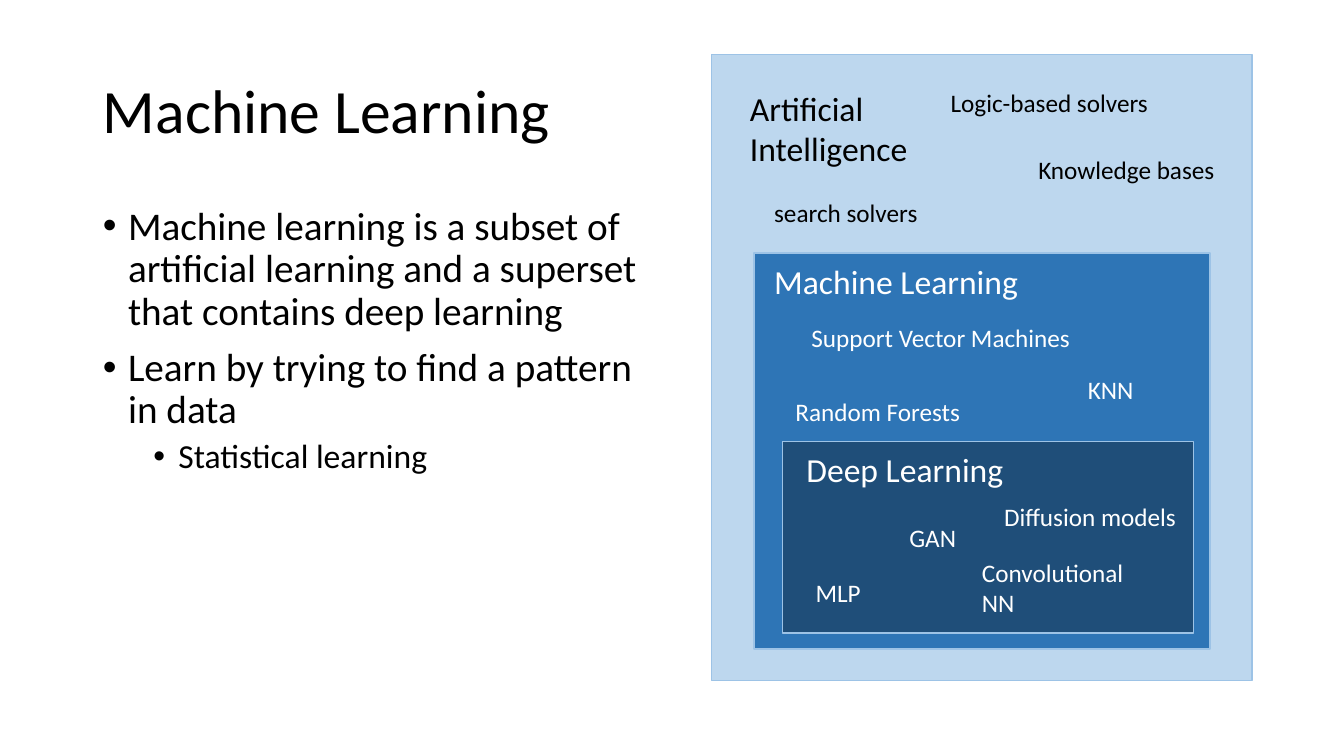
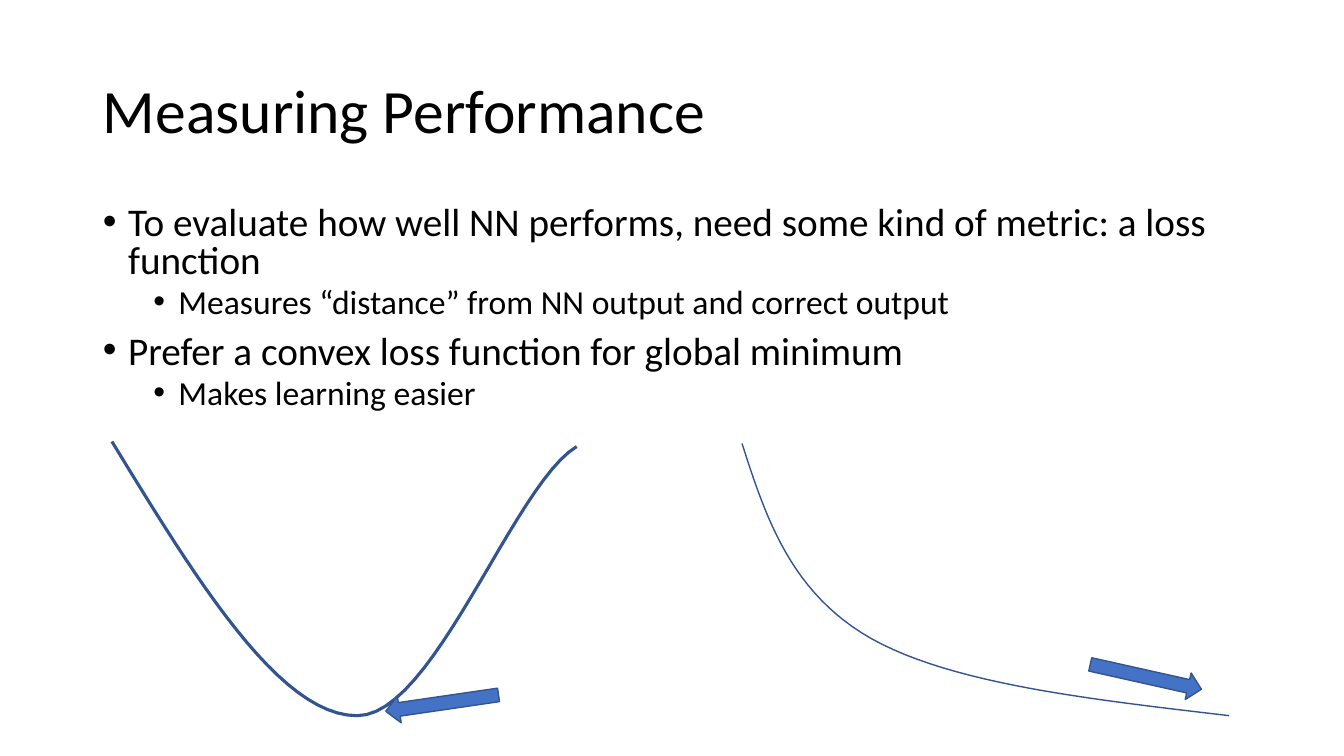
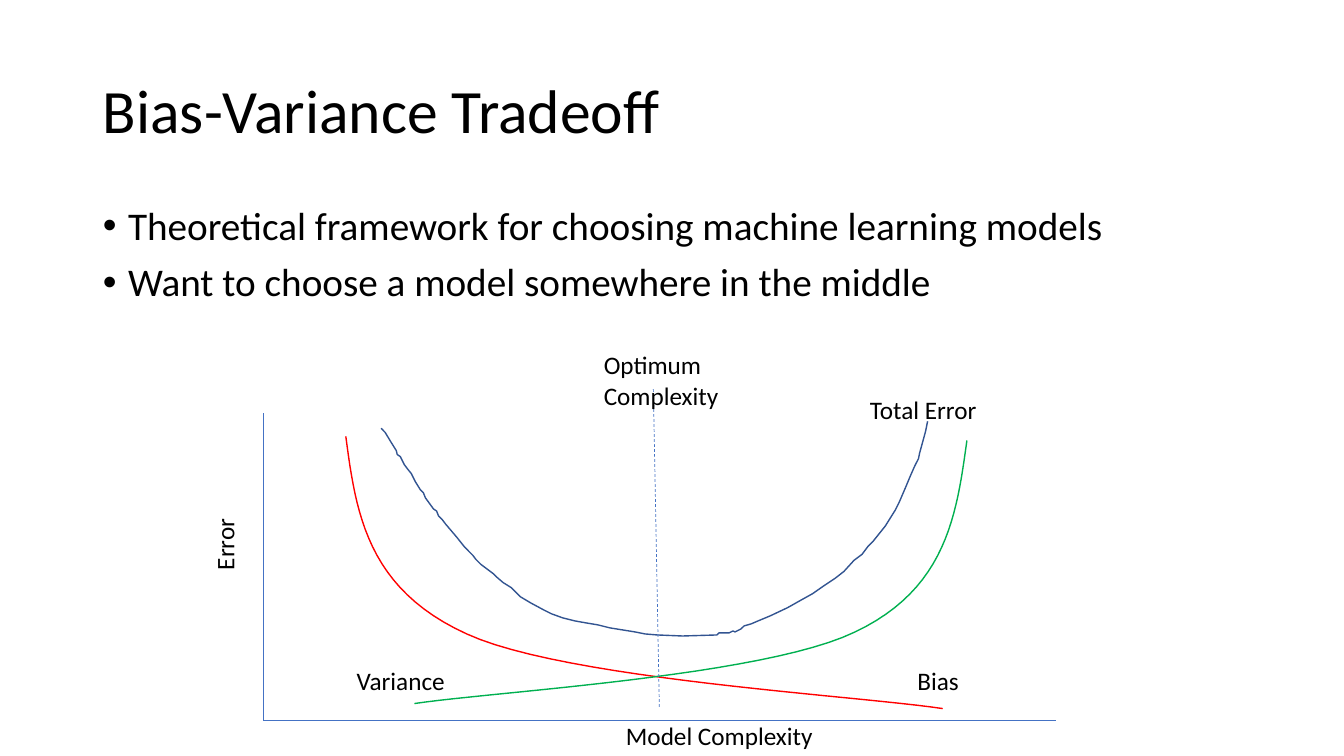
from dataclasses import dataclass

from lxml.etree import SubElement
from pptx import Presentation
from pptx.dml.color import RGBColor
from pptx.enum.dml import MSO_LINE
from pptx.enum.shapes import MSO_CONNECTOR, MSO_SHAPE
from pptx.enum.text import MSO_ANCHOR, MSO_AUTO_SIZE, PP_ALIGN
from pptx.oxml.ns import qn
from pptx.presentation import Presentation as Deck
from pptx.slide import Slide
from pptx.util import Inches, Pt

FONT = "Calibri"
COLORS = {
    "black": "000000",
    "white": "FFFFFF",
    "pale": "BDD7EE",
    "edge": "9DC3E6",
    "mid": "2E75B6",
    "deep": "1F4E79",
    "accent": "4472C4",
    "outline": "325491",
    "red": "FF0000",
    "green": "00B050",
}
MARGIN = 0.92
CONTENT_WIDTH = 11.5
BULLET_SIZES = (28, 24)
BULLET_INDENTS = (0.25, 0.75)
BULLET_GAPS = (10, 5)
CURVE_STEPS = 24

Point = tuple[float, float]


@dataclass(frozen=True)
class Bullet:
    text: str
    level: int = 0


@dataclass(frozen=True)
class Label:
    text: str
    left: float
    top: float
    width: float
    height: float = 0.4
    color: str = "black"
    size: int = 18
    rotation: float = 0


@dataclass(frozen=True)
class Block:
    left: float
    top: float
    width: float
    height: float
    fill: str
    line: str
    kind: MSO_SHAPE = MSO_SHAPE.RECTANGLE
    rotation: float = 0


@dataclass(frozen=True)
class Curve:
    start: Point
    bends: tuple[tuple[Point, Point, Point], ...]
    color: str = "outline"
    weight: float = 1


@dataclass(frozen=True)
class Rule:
    start: Point
    end: Point
    dashed: bool = False


NESTED_FIELDS = (
    Block(7.06, 0.54, 5.36, 6.21, "pale", "edge"),
    Block(7.48, 2.51, 4.52, 3.93, "mid", "edge"),
    Block(7.76, 4.38, 4.08, 1.9, "deep", "edge"),
)
FIELD_LABELS = (
    Label("Deep Learning", 7.9, 4.4, 2.87, 0.5, "white", 24),
    Label("Artificial Intelligence", 7.34, 0.82, 2.87, 0.91, "black", 24),
    Label("Machine Learning", 7.58, 2.54, 2.87, 0.5, "white", 24),
    Label("Logic-based solvers", 9.33, 0.82, 2.5),
    Label("search solvers", 7.58, 1.91, 2.5),
    Label("Knowledge bases", 10.2, 1.48, 2.5),
    Label("Support Vector Machines", 7.95, 3.15, 3.17, color="white"),
    Label("Random Forests", 7.79, 3.88, 1.95, color="white"),
    Label("KNN", 10.69, 3.66, 1.11, color="white"),
    Label("MLP", 7.99, 5.68, 1.95, color="white"),
    Label("Convolutional NN", 9.64, 5.48, 1.95, 0.71, "white"),
    Label("Diffusion models", 9.86, 4.92, 1.95, color="white"),
    Label("GAN", 8.92, 5.13, 1.95, color="white"),
)
LOSS_CURVES = (
    Curve(
        (1.11, 4.38),
        (
            ((1.94, 5.74), (2.77, 7.1), (3.54, 7.1)),
            ((4.3, 7.11), (5.09, 4.81), (5.72, 4.43)),
        ),
        weight=2.25,
    ),
    Curve(
        (7.36, 4.4),
        (
            ((7.6, 5.15), (7.85, 5.89), (8.65, 6.34)),
            ((9.46, 6.79), (10.83, 6.94), (12.19, 7.1)),
        ),
    ),
)
DESCENT_ARROWS = tuple(
    Block(left, top, 1.13, 0.27, "accent", "outline", MSO_SHAPE.RIGHT_ARROW, angle)
    for left, top, angle in ((3.82, 6.84, 171.7), (10.8, 6.58, 12.6))
)
ERROR_CURVES = (
    Curve(
        (3.43, 4.33),
        (
            ((3.53, 5.09), (3.64, 5.84), (4.63, 6.29)),
            ((5.61, 6.74), (8.48, 6.9), (9.35, 7.03)),
        ),
        "red",
    ),
    Curve(
        (9.59, 4.37),
        (
            ((9.49, 5.1), (9.39, 5.84), (8.48, 6.27)),
            ((7.57, 6.71), (4.91, 6.86), (4.11, 6.98)),
        ),
        "green",
    ),
)
TOTAL_ERROR = (
    (3.78, 4.25), (3.82, 4.29), (3.88, 4.39), (3.93, 4.47), (3.94, 4.51),
    (3.97, 4.53), (4.01, 4.61), (4.04, 4.65), (4.08, 4.7), (4.12, 4.78),
    (4.17, 4.86), (4.2, 4.89), (4.22, 4.94), (4.3, 5.05), (4.33, 5.07),
    (4.35, 5.12), (4.39, 5.16), (4.42, 5.2), (4.53, 5.33), (4.61, 5.43),
    (4.69, 5.51), (4.72, 5.55), (4.77, 5.6), (4.81, 5.63), (4.89, 5.69),
    (4.92, 5.72), (4.99, 5.78), (5.07, 5.83), (5.11, 5.87), (5.16, 5.92),
    (5.26, 5.98), (5.39, 6.05), (5.47, 6.09), (5.58, 6.13), (5.7, 6.16),
    (5.81, 6.18), (5.93, 6.2), (6.05, 6.23), (6.3, 6.27), (6.4, 6.29),
    (6.52, 6.3), (6.77, 6.31), (7.11, 6.3), (7.13, 6.28), (7.23, 6.28),
    (7.27, 6.26), (7.29, 6.27), (7.35, 6.24), (7.38, 6.21), (7.45, 6.19),
    (7.52, 6.16), (7.64, 6.11), (7.81, 6.03), (7.97, 5.94), (8.06, 5.89),
    (8.16, 5.82), (8.28, 5.74), (8.37, 5.67), (8.47, 5.56), (8.55, 5.5),
    (8.61, 5.42), (8.66, 5.37), (8.78, 5.22), (8.88, 5.06), (8.92, 4.98),
    (8.95, 4.91), (8.98, 4.84), (9.03, 4.72), (9.07, 4.63), (9.11, 4.55),
    (9.12, 4.5), (9.18, 4.28), (9.2, 4.18),
)
ORIGIN = (2.61, 7.15)
GRAPH_RULES = (
    Rule((2.61, 4.1), ORIGIN),
    Rule((10.47, 7.15), ORIGIN),
    Rule((6.48, 3.86), (6.54, 7.03), dashed=True),
)
GRAPH_LABELS = (
    Label("Bias", 9, 6.55, 1.34),
    Label("Variance", 3.44, 6.55, 1.34),
    Label("Total Error", 8.53, 3.86, 1.34),
    Label("Model Complexity", 6.11, 7.1, 2.25),
    Label("Error", 1.81, 5.14, 0.83, rotation=270),
    Label("Optimum Complexity", 5.89, 3.42, 1.34, 0.71),
)


def rgb(name: str) -> RGBColor:
    return RGBColor.from_string(COLORS[name])


def write_text(para, text: str, *, size: float, color: str = "black",
               spacing: float = 1.0, before: float = 0) -> None:
    para.alignment = PP_ALIGN.LEFT
    para.line_spacing = spacing
    para.space_before = Pt(before)
    span = para.add_run()
    span.text = text
    span.font.name = FONT
    span.font.size = Pt(size)
    span.font.color.rgb = rgb(color)


def place(shape, left: float, top: float, width: float, height: float) -> None:
    shape.left, shape.top = Inches(left), Inches(top)
    shape.width, shape.height = Inches(width), Inches(height)


def add_bullet_mark(para, level: int) -> None:
    para.level = level
    settings = para._p.get_or_add_pPr()
    settings.set("marL", str(Inches(BULLET_INDENTS[level])))
    settings.set("indent", str(Inches(-0.25)))
    SubElement(settings, qn("a:buFont"), typeface="Arial")
    SubElement(settings, qn("a:buChar"), char="•")


def add_content_slide(deck: Deck, title: str, bullets: tuple[Bullet, ...], *,
                      width: float = CONTENT_WIDTH, height: float,
                      spacing: float = 0.9) -> Slide:
    slide = deck.slides.add_slide(deck.slide_layouts[1])
    heading, body = slide.shapes.title, slide.placeholders[1]
    place(heading, MARGIN, 0.4, CONTENT_WIDTH, 1.45)
    place(body, MARGIN, 2, width, height)
    for box, anchor in ((heading, MSO_ANCHOR.MIDDLE), (body, MSO_ANCHOR.TOP)):
        box.text_frame.word_wrap = True
        box.text_frame.auto_size = MSO_AUTO_SIZE.NONE
        box.text_frame.vertical_anchor = anchor
    write_text(heading.text_frame.paragraphs[0], title, size=44, spacing=0.9)
    for index, bullet in enumerate(bullets):
        frame = body.text_frame
        para = frame.add_paragraph() if index else frame.paragraphs[0]
        add_bullet_mark(para, bullet.level)
        write_text(para, bullet.text, size=BULLET_SIZES[bullet.level], spacing=spacing,
                   before=BULLET_GAPS[bullet.level] if index else 0)
    return slide


def add_block(slide: Slide, block: Block) -> None:
    shape = slide.shapes.add_shape(
        block.kind, Inches(block.left), Inches(block.top),
        Inches(block.width), Inches(block.height))
    shape.rotation = block.rotation
    shape.shadow.inherit = False
    shape.fill.solid()
    shape.fill.fore_color.rgb = rgb(block.fill)
    shape.line.color.rgb = rgb(block.line)
    shape.line.width = Pt(1)


def add_label(slide: Slide, label: Label) -> None:
    box = slide.shapes.add_textbox(
        Inches(label.left), Inches(label.top), Inches(label.width), Inches(label.height))
    box.rotation = label.rotation
    box.text_frame.word_wrap = True
    box.text_frame.auto_size = MSO_AUTO_SIZE.SHAPE_TO_FIT_TEXT
    write_text(box.text_frame.paragraphs[0], label.text, size=label.size, color=label.color)


def trace(curve: Curve) -> list[Point]:
    points = [curve.start]
    for first, second, end in curve.bends:
        corners = (points[-1], first, second, end)
        for step in range(1, CURVE_STEPS + 1):
            t = step / CURVE_STEPS
            weights = ((1 - t) ** 3, 3 * t * (1 - t) ** 2, 3 * t**2 * (1 - t), t**3)
            points.append((
                sum(weight * x for weight, (x, _) in zip(weights, corners)),
                sum(weight * y for weight, (_, y) in zip(weights, corners)),
            ))
    return points


def add_outline(slide: Slide, points, *, color: str = "outline", weight: float = 1) -> None:
    start, *rest = [(Inches(x), Inches(y)) for x, y in points]
    builder = slide.shapes.build_freeform(*start)
    builder.add_line_segments(rest, close=False)
    shape = builder.convert_to_shape()
    shape.shadow.inherit = False
    shape.fill.background()
    shape.line.color.rgb = rgb(color)
    shape.line.width = Pt(weight)


def add_rule(slide: Slide, rule: Rule) -> None:
    line = slide.shapes.add_connector(
        MSO_CONNECTOR.STRAIGHT, *(Inches(value) for value in rule.start + rule.end))
    line.line.color.rgb = rgb("accent")
    line.line.width = Pt(0.5)
    if rule.dashed:
        line.line.dash_style = MSO_LINE.DASH
    SubElement(line._element.spPr, qn("a:effectLst"))


def build_learning(deck: Deck) -> None:
    slide = add_content_slide(deck, "Machine Learning", (
        Bullet("Machine learning is a subset of artificial learning and a superset "
               "that contains deep learning"),
        Bullet("Learn by trying to find a pattern in data"),
        Bullet("Statistical learning", 1),
    ), width=5.75, height=4.76)
    for block in NESTED_FIELDS:
        add_block(slide, block)
    for label in FIELD_LABELS:
        add_label(slide, label)


def build_performance(deck: Deck) -> None:
    slide = add_content_slide(deck, "Measuring Performance", (
        Bullet("To evaluate how well NN performs, need some kind of metric: a loss function"),
        Bullet("Measures “distance” from NN output and correct output", 1),
        Bullet("Prefer a convex loss function for global minimum"),
        Bullet("Makes learning easier", 1),
    ), height=2.23, spacing=0.8)
    for curve, arrow in zip(LOSS_CURVES, DESCENT_ARROWS):
        add_outline(slide, trace(curve), color=curve.color, weight=curve.weight)
        add_block(slide, arrow)


def build_tradeoff(deck: Deck) -> None:
    slide = add_content_slide(deck, "Bias-Variance Tradeoff", (
        Bullet("Theoretical framework for choosing machine learning models"),
        Bullet("Want to choose a model somewhere in the middle"),
    ), height=1.13)
    for curve in ERROR_CURVES:
        add_outline(slide, trace(curve), color=curve.color, weight=curve.weight)
    add_outline(slide, TOTAL_ERROR)
    for rule in GRAPH_RULES:
        add_rule(slide, rule)
    for label in GRAPH_LABELS:
        add_label(slide, label)


def main() -> None:
    deck = Presentation()
    deck.slide_width, deck.slide_height = Inches(13.33), Inches(7.5)
    build_learning(deck)
    build_performance(deck)
    build_tradeoff(deck)
    deck.save("out.pptx")


if __name__ == "__main__":
    main()
